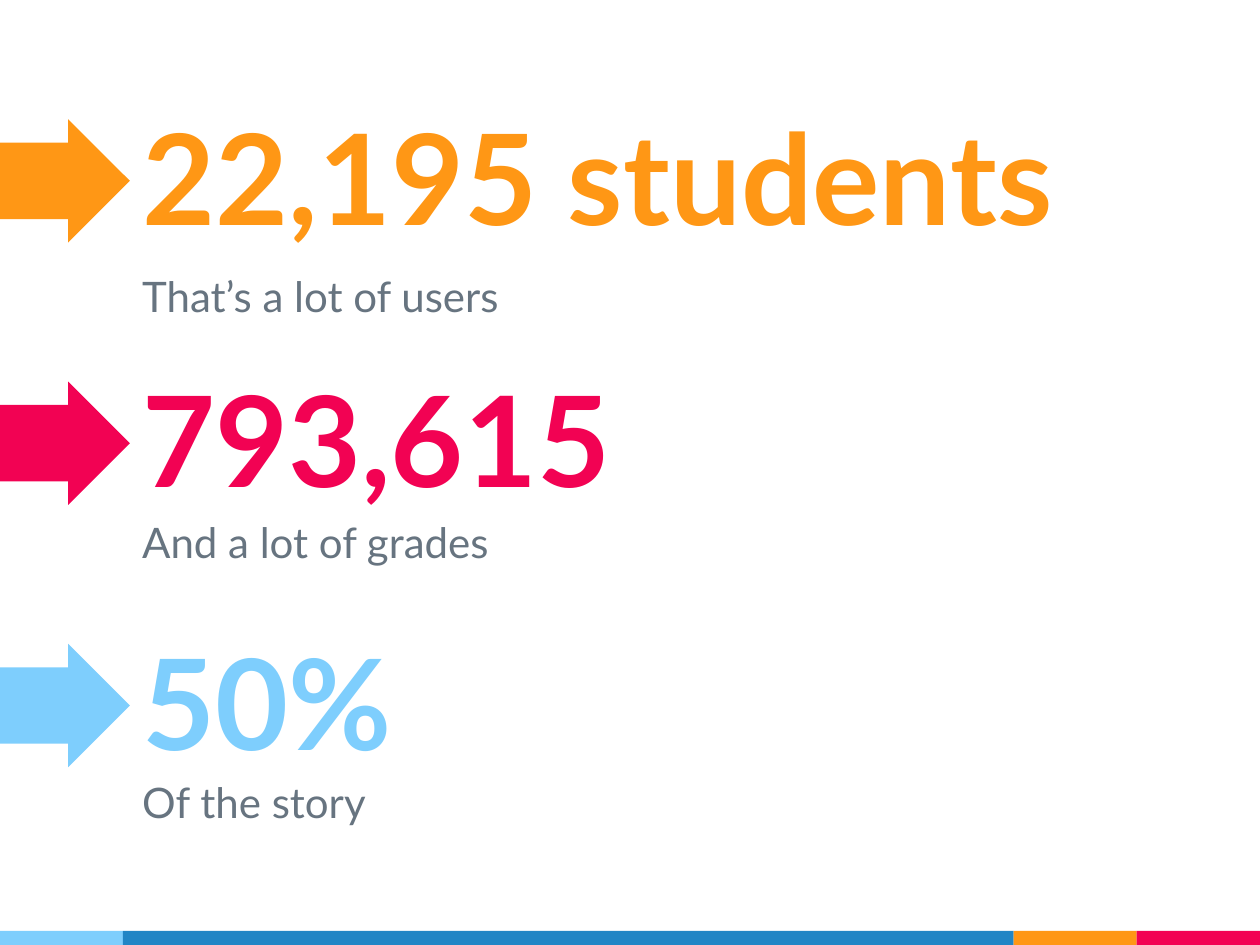
from pptx import Presentation
from pptx.dml.color import RGBColor
from pptx.enum.shapes import MSO_SHAPE
from pptx.enum.text import MSO_ANCHOR, MSO_AUTO_SIZE, PP_ALIGN
from pptx.util import Pt

COLORS = {
    "orange": "FF9715",
    "pink": "F20253",
    "sky": "7ECEFD",
    "blue": "2185C5",
    "gray": "677480",
}
STATS = [
    ("22,195 students", "That’s a lot of users", "orange", 147.6),
    ("793,615", "And a lot of grades", "pink", 288),
    ("50%", "Of the story", "sky", 436.3),
]
FOOTER = [("sky", 70.3), ("blue", 509), ("orange", 70.3), ("pink", 70.4)]

SLIDE_WIDTH, SLIDE_HEIGHT = 720, 540
FOOTER_HEIGHT = 8
FIRST_TOP, STAT_PITCH = 56.2, 149.9
TEXT_LEFT, TEXT_WIDTH = 74.2, 592
FIGURE_HEIGHT, CAPTION_HEIGHT = 94.3, 49
ARROW_HEIGHT = 70.5
INSET = 7.2


def add_solid(slide, preset, left, top, width, height, color):
    solid = slide.shapes.add_shape(preset, Pt(left), Pt(top), Pt(width), Pt(height))
    solid.shadow.inherit = False
    solid.fill.solid()
    solid.fill.fore_color.rgb = RGBColor.from_string(COLORS[color])
    solid.line.fill.background()
    return solid


def write_text(holder, top, height, text, size, color, bold, anchor):
    holder.left, holder.top = Pt(TEXT_LEFT), Pt(top)
    holder.width, holder.height = Pt(TEXT_WIDTH), Pt(height)
    frame = holder.text_frame
    frame.text = text
    frame.word_wrap = True
    frame.auto_size = MSO_AUTO_SIZE.NONE
    frame.vertical_anchor = anchor
    frame.margin_left = frame.margin_right = Pt(INSET)
    frame.margin_top = frame.margin_bottom = Pt(INSET)
    paragraph = frame.paragraphs[0]
    paragraph.alignment = PP_ALIGN.LEFT
    paragraph.font.name = "Lato"
    paragraph.font.size = Pt(size)
    paragraph.font.bold = bold
    paragraph.font.color.rgb = RGBColor.from_string(COLORS[color])


def main():
    deck = Presentation()
    deck.slide_width, deck.slide_height = Pt(SLIDE_WIDTH), Pt(SLIDE_HEIGHT)
    slide = deck.slides.add_slide(deck.slide_layouts[5])

    band_left = 0
    for color, band_width in FOOTER:
        add_solid(slide, MSO_SHAPE.RECTANGLE, band_left, SLIDE_HEIGHT - FOOTER_HEIGHT,
                  band_width, FOOTER_HEIGHT, color)
        band_left += band_width

    for index, (figure, caption, color, caption_top) in enumerate(STATS):
        top = FIRST_TOP + index * STAT_PITCH
        if index == 0:
            figure_holder = slide.shapes.title
        else:
            figure_holder = slide.shapes.add_textbox(0, 0, 0, 0)
        write_text(figure_holder, top, FIGURE_HEIGHT, figure, 72, color, True,
                   MSO_ANCHOR.BOTTOM)
        caption_holder = slide.shapes.add_textbox(0, 0, 0, 0)
        write_text(caption_holder, caption_top, CAPTION_HEIGHT, caption, 24, "gray",
                   False, MSO_ANCHOR.TOP)
        arrow_top = top + (FIGURE_HEIGHT - ARROW_HEIGHT) / 2
        arrow = add_solid(slide, MSO_SHAPE.RIGHT_ARROW, 0, arrow_top, TEXT_LEFT,
                          ARROW_HEIGHT, color)
        arrow.adjustments[0] = 0.62
        arrow.adjustments[1] = 0.5

    deck.save("out.pptx")


if __name__ == "__main__":
    main()
